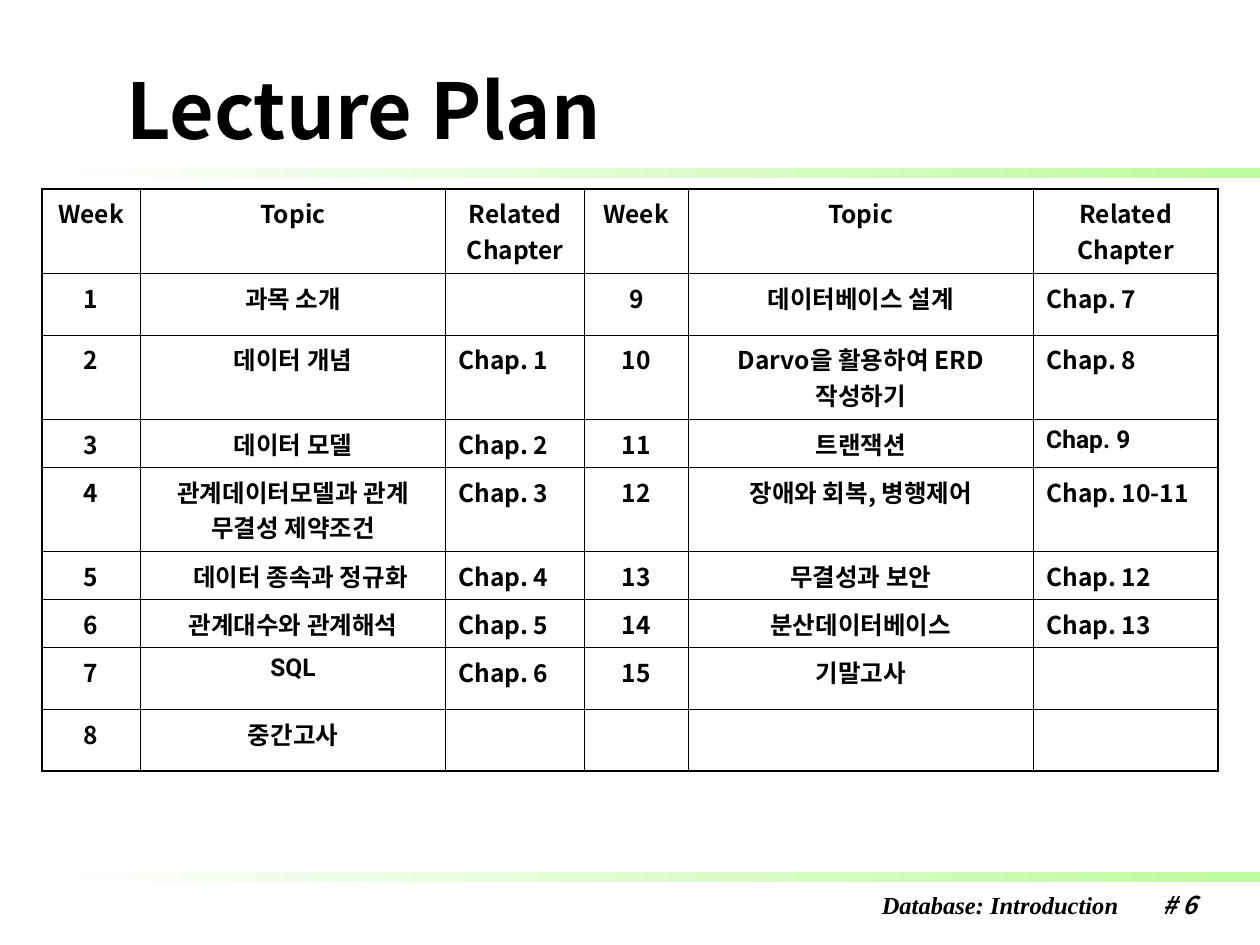
import pptx
import pptx.dml.color
import pptx.enum.shapes
import pptx.enum.text
import pptx.oxml.ns
import pptx.util
import lxml.etree

WIDTH, HEIGHT = 10, 7.5
SANS, LATIN, SERIF = "Noto Sans CJK KR", "Roboto", "Times New Roman"
ALIGN = pptx.enum.text.PP_ALIGN
ANCHOR = pptx.enum.text.MSO_ANCHOR
THIN, THICK = 0.45, 1.08

COLUMNS = [0.78, 2.42, 1.1, 0.82, 2.74, 1.46]
ROWS = [0.67, 0.49, 0.67, 0.38, 0.67, 0.38, 0.38, 0.49, 0.49]
HEADINGS = ["Week", "Topic", "Related Chapter"] * 2
PLAN = [
    HEADINGS,
    ["1", "과목 소개", "", "9", "데이터베이스 설계", "Chap. 7"],
    ["2", "데이터 개념", "Chap. 1", "10", "Darvo을 활용하여 ERD작성하기", "Chap. 8"],
    ["3", "데이터 모델", "Chap. 2", "11", "트랜잭션", "Chap. 9"],
    ["4", "관계데이터모델과 관계 무결성 제약조건", "Chap. 3", "12", "장애와 회복, 병행제어", "Chap. 10-11"],
    ["5", "데이터 종속과 정규화", "Chap. 4", "13", "무결성과 보안", "Chap. 12"],
    ["6", "관계대수와 관계해석", "Chap. 5", "14", "분산데이터베이스", "Chap. 13"],
    ["7", "SQL", "Chap. 6", "15", "기말고사", ""],
    ["8", "중간고사", "", "", "", ""],
]
LATIN_ENTRIES = {"데이터 모델", "SQL", "Chap. 9"}
INDENTED_TOPIC = "데이터 종속과 정규화"


def color(value):
    """Return the colour for a hex string."""
    return pptx.dml.color.RGBColor.from_string(value)


def box_of(left, top, width, height):
    """Turn shares of the slide into a box of lengths."""
    return [pptx.util.Inches(share * side)
            for share, side in zip((left, top, width, height), (WIDTH, HEIGHT) * 2)]


def write(frame, words, size, font=SANS, align=ALIGN.LEFT, italic=False):
    """Put bold black words into a text frame."""
    frame.text = words
    paragraph = frame.paragraphs[0]
    paragraph.alignment = align
    for run in paragraph.runs:
        run.font.size = pptx.util.Pt(size)
        run.font.name = font
        run.font.bold = True
        run.font.italic = italic
        run.font.color.rgb = color("000000")
        east_asian = lxml.etree.Element(pptx.oxml.ns.qn("a:ea"), typeface=SANS)
        run.font._element.find(pptx.oxml.ns.qn("a:latin")).addnext(east_asian)
    return paragraph


def add_title(slide, box):
    """Place the slide title in its placeholder."""
    title = slide.shapes.title
    title.left, title.top, title.width, title.height = box
    title.text_frame.vertical_anchor = ANCHOR.MIDDLE
    write(title.text_frame, "Lecture Plan", 44)


def add_band(slide, box):
    """Draw a band that fades from white to green."""
    band = slide.shapes.add_shape(pptx.enum.shapes.MSO_SHAPE.RECTANGLE, *box)
    band.shadow.inherit = False
    band.line.fill.background()
    band.fill.gradient()
    band.fill.gradient_angle = 0
    for stop, value in zip(band.fill.gradient_stops, ("FFFFFF", "BDFC9E")):
        stop.color.rgb = color(value)


def add_footer(slide, box, words, font, align):
    """Place one italic footer entry."""
    footer = slide.shapes.add_textbox(*box).text_frame
    footer.word_wrap = True
    footer.vertical_anchor = ANCHOR.BOTTOM
    write(footer, words, 14, font, align, italic=True)


def add_borders(cell, widths):
    """Draw the left, right, top and bottom borders of a cell."""
    properties = cell._tc.get_or_add_tcPr()
    for side, width in zip("LRTB", widths):
        border = lxml.etree.SubElement(properties, pptx.oxml.ns.qn("a:ln" + side),
                                       w=str(pptx.util.Pt(width)))
        fill = lxml.etree.SubElement(border, pptx.oxml.ns.qn("a:solidFill"))
        lxml.etree.SubElement(fill, pptx.oxml.ns.qn("a:srgbClr"), val="000000")


def add_plan(slide, box):
    """Build the table of weeks, topics and chapters."""
    plan = slide.shapes.add_table(len(ROWS), len(COLUMNS), *box).table
    plan.first_row = plan.horz_banding = False
    for column, share in zip(plan.columns, COLUMNS):
        column.width = int(box[2] * share / sum(COLUMNS))
    for row, share in zip(plan.rows, ROWS):
        row.height = int(box[3] * share / sum(ROWS))
    column_rules = [THICK if i % 3 == 0 else THIN for i in range(len(COLUMNS) + 1)]
    row_rules = [THICK if i in (0, 1, len(ROWS)) else THIN for i in range(len(ROWS) + 1)]
    for r, entries in enumerate(PLAN):
        for c, entry in enumerate(entries):
            cell = plan.cell(r, c)
            add_borders(cell, column_rules[c:c + 2] + row_rules[r:r + 2])
            cell.fill.background()
            if entry:
                chapter = r > 0 and c % 3 == 2
                paragraph = write(cell.text_frame, entry, 14,
                                  LATIN if entry in LATIN_ENTRIES else SANS,
                                  ALIGN.LEFT if chapter else ALIGN.CENTER)
                paragraph.space_before = pptx.util.Pt(3.5)
            if entry == INDENTED_TOPIC:
                cell.margin_left = pptx.util.Inches(0.22)


def build():
    """Build and save the lecture plan slide."""
    deck = pptx.Presentation()
    deck.slide_width = pptx.util.Inches(WIDTH)
    deck.slide_height = pptx.util.Inches(HEIGHT)
    slide = deck.slides.add_slide(deck.slide_layouts[5])
    for top in (1.33, 6.92):
        add_band(slide, box_of(0, top / HEIGHT, 1, 0.08 / HEIGHT))
    add_footer(slide, box_of(0.69, 0.94, 0.23, 0.04), "Database: Introduction", SERIF, ALIGN.LEFT)
    add_footer(slide, box_of(0.89, 0.94, 0.07, 0.04), "# 6", SANS, ALIGN.RIGHT)
    add_title(slide, box_of(0.09, 0.06, 0.49, 0.11))
    add_plan(slide, box_of(1 / 30, 0.2, 14 / 15, sum(ROWS) / HEIGHT))
    deck.save("out.pptx")


build()
